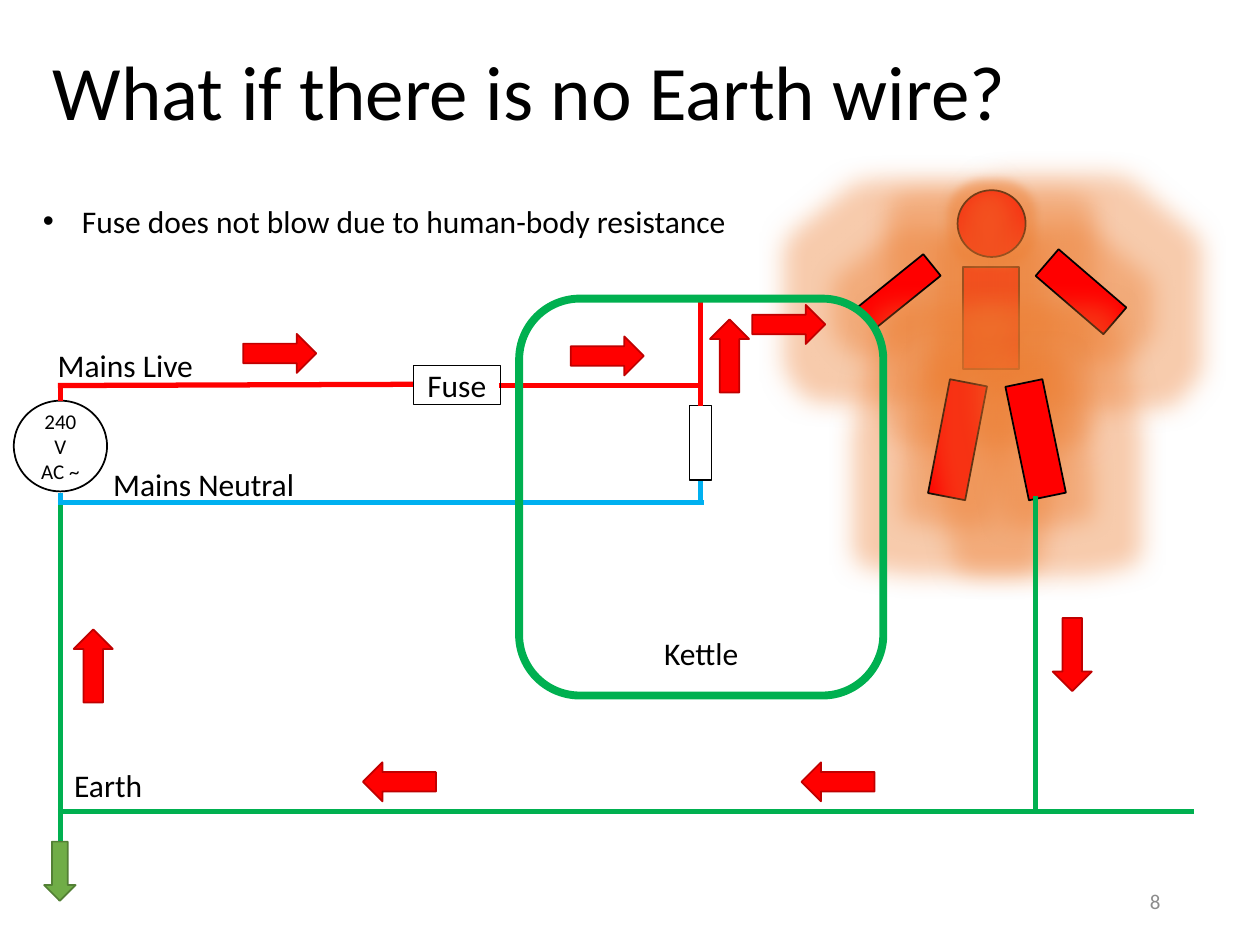
"""Build a slide on a kettle circuit that has no Earth wire."""
from lxml import etree
from pptx import Presentation
from pptx.dml.color import RGBColor
from pptx.enum.shapes import MSO_CONNECTOR, MSO_SHAPE
from pptx.enum.text import MSO_ANCHOR, MSO_AUTO_SIZE, PP_ALIGN
from pptx.oxml.ns import qn
from pptx.util import Inches, Pt

RECT, OVAL = MSO_SHAPE.RECTANGLE, MSO_SHAPE.OVAL
ROUND = MSO_SHAPE.ROUNDED_RECTANGLE
RIGHT, DOWN = MSO_SHAPE.RIGHT_ARROW, MSO_SHAPE.DOWN_ARROW
STRAIGHT = MSO_CONNECTOR.STRAIGHT
TOP, MIDDLE, BOTTOM = MSO_ANCHOR.TOP, MSO_ANCHOR.MIDDLE, MSO_ANCHOR.BOTTOM
LEFT, CENTER, END = PP_ALIGN.LEFT, PP_ALIGN.CENTER, PP_ALIGN.RIGHT
NO_FIT = MSO_AUTO_SIZE.NONE
FONT = "Calibri"
COLORS = {
    "black": "000000", "white": "FFFFFF", "grey": "8C8C8C",
    "live": "FF0000", "edge": "C00000", "neutral": "00B0F0",
    "earth": "00B050", "leaf": "70AD47", "stem": "538035", "glow": "ED7D31",
}


def color(name):
    return RGBColor.from_string(COLORS[name])


class Board:
    """Hold the style and the current slide."""

    def __init__(self, deck):
        self.slide = deck.slides.add_slide(deck.slide_layouts[1])
        self.shapes = self.slide.shapes

    def words(self, shape, lines, size, align=LEFT, anchor=TOP, ink="black"):
        frame = shape.text_frame
        frame.word_wrap = True
        frame.auto_size = NO_FIT
        frame.vertical_anchor = anchor
        frame.text = "\n".join(lines)
        for para in frame.paragraphs:
            para.alignment = align
            para.space_before = Pt(0)
            para.font.name = FONT
            para.font.size = Pt(size)
            para.font.color.rgb = color(ink)
        return frame

    def place(self, shape, box):
        shape.left, shape.top, shape.width, shape.height = map(Inches, box)

    def title(self, text, box):
        shape = self.shapes.title
        self.place(shape, box)
        frame = self.words(shape, [text], 44, anchor=MIDDLE)
        frame.paragraphs[0].line_spacing = 0.9

    def bullet(self, text, box):
        shape = self.slide.placeholders[1]
        self.place(shape, box)
        para = self.words(shape, [text], 18).paragraphs[0]
        props = para._p.get_or_add_pPr()
        props.set("marL", str(Inches(0.31)))
        props.set("indent", str(Inches(-0.31)))

    def label(self, text, box, size=18, **look):
        shape = self.shapes.add_textbox(*map(Inches, box))
        self.words(shape, [text], size, **look)

    def shape(self, kind, box, fill=None, line="black", width=1, turn=0):
        shape = self.shapes.add_shape(kind, *map(Inches, box))
        shape.shadow.inherit = False
        shape.rotation = turn
        if fill:
            shape.fill.solid()
            shape.fill.fore_color.rgb = color(fill)
        else:
            shape.fill.background()
        shape.line.color.rgb = color(line)
        shape.line.width = Pt(width)
        return shape

    def limb(self, kind, box, turn, reach):
        shape = self.shape(kind, box, "live", turn=turn)
        effects = shape._element.spPr.find(qn("a:effectLst"))
        glow = etree.SubElement(effects, qn("a:glow"), rad=str(Inches(reach)))
        tint = etree.SubElement(glow, qn("a:srgbClr"), val=COLORS["glow"])
        etree.SubElement(tint, qn("a:alpha"), val="40000")

    def flow(self, left, top, turn=0):
        self.shape(RIGHT, (left, top, 0.58, 0.31), "live", "edge", turn=turn)

    def wire(self, hue, *ends):
        wire = self.shapes.add_connector(STRAIGHT, *map(Inches, ends))
        wire.line.color.rgb = color(hue)
        wire.line.width = Pt(3)
        etree.SubElement(wire._element.spPr, qn("a:effectLst"))


def main():
    deck = Presentation()
    deck.slide_width, deck.slide_height = Inches(10), Inches(7.5)
    board = Board(deck)
    board.title("What if there is no Earth wire?", (0.32, 0.28, 9.63, 0.96))
    board.bullet("Fuse does not blow due to human-body resistance",
                 (0.24, 1.55, 6.01, 0.4))

    main_x, load_x, foot_x = 0.48, 5.56, 8.22
    live_y, cold_y, earth_y = 3.06, 3.99, 6.44
    board.wire("neutral", main_x, cold_y, load_x + 0.03, cold_y)
    board.wire("live", 3.96, live_y, load_x, live_y)
    board.wire("live", load_x, 2.37, load_x, live_y)

    for kind, box, turn, reach in (
        (RECT, (7.64, 2.12, 0.45, 0.81), 0, 0.4),
        (OVAL, (7.6, 1.51, 0.54, 0.53), 0, 0.14),
        (RECT, (7.03, 1.98, 0.22, 0.66), 51.1, 0.4),
        (RECT, (8.44, 1.96, 0.28, 0.71), 310.7, 0.4),
        (RECT, (7.45, 3.03, 0.3, 0.92), 10.9, 0.4),
        (RECT, (8.07, 3.03, 0.3, 0.92), 348.3, 0.4),
    ):
        board.limb(kind, box, turn, reach)

    kettle = board.shape(ROUND, (4.12, 2.37, 2.89, 3.15),
                         line="earth", width=4.5)
    board.words(kettle, ["Kettle"], 18, CENTER, BOTTOM)
    board.shape(RECT, (5.47, 3.22, 0.18, 0.59), width=0.75)
    board.wire("live", load_x, live_y, load_x, 3.22)
    board.wire("neutral", load_x, 3.82, load_x, cold_y)

    source = board.shape(OVAL, (0.11, 3.18, 0.74, 0.72), "white")
    board.words(source, ["240V", "AC ~"], 12, CENTER, MIDDLE)
    board.wire("neutral", main_x, 3.91, main_x, 4.01)
    board.wire("earth", 0.46, earth_y, 9.48, earth_y)
    board.wire("earth", main_x, 6.68, main_x, 4.01)
    board.shape(DOWN, (0.35, 6.68, 0.25, 0.47), "leaf", "stem")
    board.wire("earth", foot_x, earth_y, foot_x, 3.94)

    board.wire("live", 0.46, live_y, 3.28, 3.05)
    board.wire("live", main_x, 3.08, main_x, 3.18)
    fuse = board.shape(RECT, (3.28, 2.9, 0.69, 0.31), width=0.75)
    board.words(fuse, ["Fuse"], 18, CENTER, MIDDLE)

    for left, top, turn in (
        (1.93, 2.65, 0), (4.53, 2.67, 0), (5.5, 2.67, 270), (5.97, 2.42, 0),
        (8.22, 5.04, 90), (6.36, 6.05, 180), (2.88, 6.05, 180),
        (0.45, 5.13, 270),
    ):
        board.flow(left, top, turn)

    board.label("Mains Live", (0.36, 2.7, 1.29, 0.4))
    board.label("Mains Neutral", (0.8, 3.64, 1.65, 0.4))
    board.label("Earth", (0.49, 6.03, 0.75, 0.4))
    board.label("8", (7.06, 6.95, 2.25, 0.4), 12,
                align=END, anchor=MIDDLE, ink="grey")
    deck.save("out.pptx")


if __name__ == "__main__":
    main()
